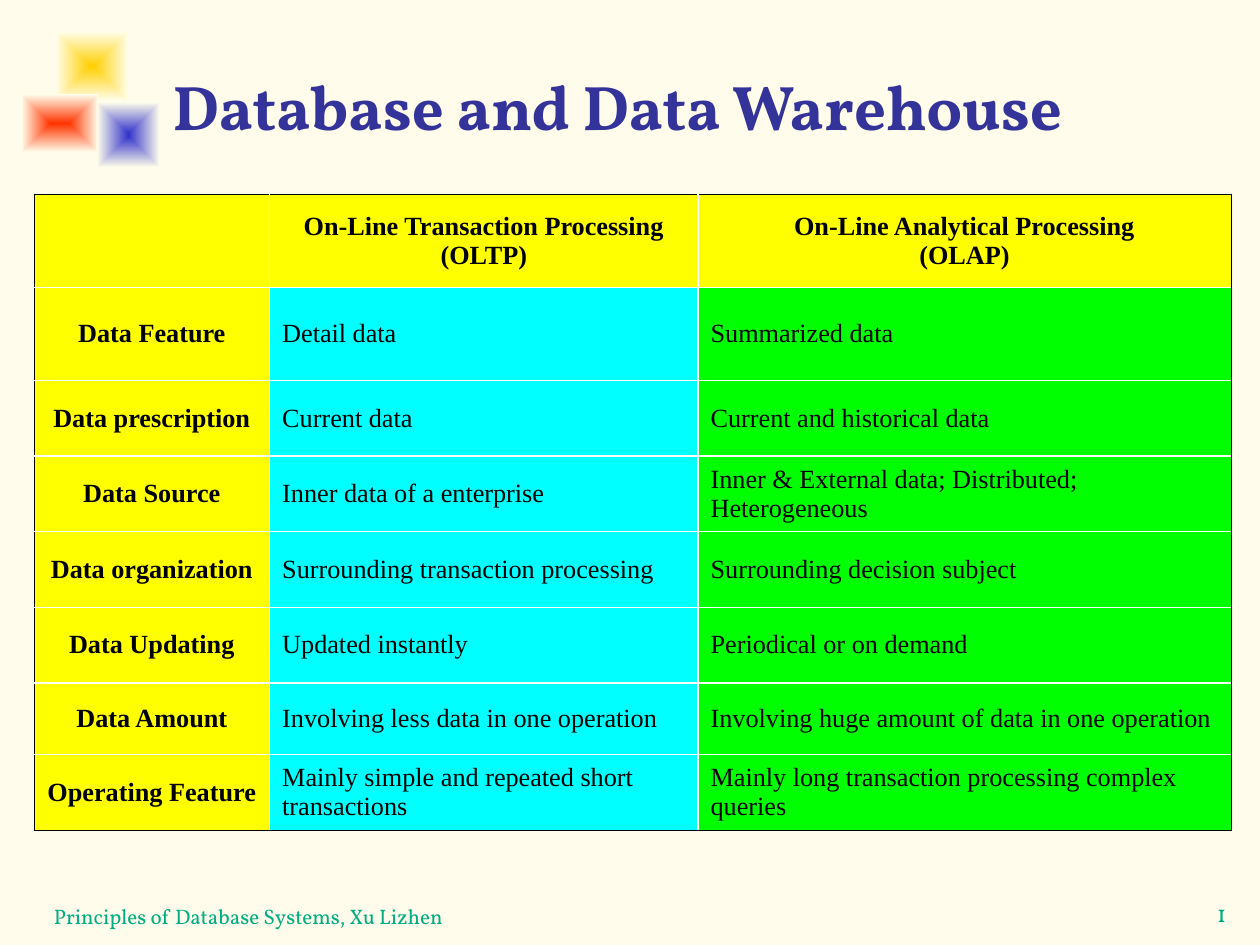
from lxml import etree
from pptx import Presentation
from pptx import util as u
from pptx.dml.color import RGBColor
from pptx.enum import shapes, text
from pptx.oxml.ns import qn


def rgb(value):
    return RGBColor.from_string(value)


class Deck:
    title_font = "Vollkorn"
    table_font = "Times New Roman"
    paper, glow = "FFFCEB", "FFFEEB"
    navy, teal, black, white = "333399", "00AE80", "000000", "FFFFFF"
    yellow, cyan, green = "FFFF00", "00FFFF", "00FF00"

    def __init__(self, prs):
        self.slide = prs.slides.add_slide(prs.slide_layouts[5])
        bg = self.slide.background.fill
        bg.solid()
        bg.fore_color.rgb = rgb(self.paper)

    def style(self, tf, size, font, color, bold=False, align=text.PP_ALIGN.LEFT):
        for p in tf.paragraphs:
            p.alignment = align
            for r in p.runs:
                r.font.size = u.Pt(size)
                r.font.name = font
                r.font.bold = bold
                r.font.color.rgb = rgb(color)

    def glow_box(self, box, color):
        sp = self.slide.shapes.add_shape(
            shapes.MSO_SHAPE.RECTANGLE, *map(u.Inches, box))
        sp.shadow.inherit = False
        sp.line.fill.background()
        sp.fill.gradient()
        for stop, shade, position in zip(
                sp.fill.gradient_stops, (color, self.glow), (0, 1)):
            stop.color.rgb = rgb(shade)
            stop.position = position
        grad = sp._element.spPr.find(qn("a:gradFill"))
        grad.remove(grad.find(qn("a:lin")))
        radial = etree.Element(qn("a:path"), {"path": "rect"})
        etree.SubElement(radial, qn("a:fillToRect"), dict.fromkeys("ltrb", "50000"))
        grad.find(qn("a:gsLst")).addnext(radial)

    def title(self, box, words):
        sp = self.slide.shapes.title
        sp.left, sp.top, sp.width, sp.height = map(u.Inches, box)
        tf = sp.text_frame
        tf.text = words
        tf.auto_size = text.MSO_AUTO_SIZE.NONE
        tf.vertical_anchor = text.MSO_ANCHOR.BOTTOM
        self.style(tf, 36, self.title_font, self.navy, True)

    def label(self, box, words, size, anchor, align, wrap):
        tf = self.slide.shapes.add_textbox(*map(u.Inches, box)).text_frame
        tf.word_wrap = wrap
        tf.vertical_anchor = anchor
        tf.text = words
        self.style(tf, size, self.title_font, self.teal, align=align)

    def borders(self, cell, outer):
        tc_pr = cell._tc.get_or_add_tcPr()
        for side in "LRTB":
            color, width = (self.black, 0.45) if side in outer else (self.white, 0.96)
            ln = etree.SubElement(tc_pr, qn("a:ln" + side), w=str(u.Pt(width)))
            fill = etree.SubElement(ln, qn("a:solidFill"))
            etree.SubElement(fill, qn("a:srgbClr"), val=color)

    def table(self, box, widths, heights, rows):
        table = self.slide.shapes.add_table(
            len(rows), len(widths), *map(u.Inches, box)).table
        for column, width in zip(table.columns, widths):
            column.width = u.Inches(width)
        for row, height in zip(table.rows, heights):
            row.height = u.Inches(height)
        last_row, last_col = len(rows) - 1, len(widths) - 1
        for i, row in enumerate(rows):
            for j, words in enumerate(row):
                cell = table.cell(i, j)
                outer = "".join(side for side, at_edge in (
                    ("L", j == 0), ("R", j == last_col),
                    ("T", i == 0), ("B", i == last_row)) if at_edge)
                self.borders(cell, outer)
                header = i == 0 or j == 0
                cell.fill.solid()
                cell.fill.fore_color.rgb = rgb(
                    self.yellow if header else (self.cyan, self.green)[j - 1])
                cell.vertical_anchor = text.MSO_ANCHOR.MIDDLE
                cell.text_frame.text = words
                align = text.PP_ALIGN.CENTER if header else text.PP_ALIGN.LEFT
                self.style(cell.text_frame, 15, self.table_font, self.black, header, align)


prs = Presentation()
prs.slide_width, prs.slide_height = u.Inches(10), u.Inches(7.5)
deck = Deck(prs)

for box, color in (
        ((0.44, 0.25, 0.58, 0.55), "FFCF01"),
        ((0.77, 0.81, 0.5, 0.52), "3333CC"),
        ((0.17, 0.75, 0.61, 0.46), "FF3300")):
    deck.glow_box(box, color)

deck.label((9.1, 7.08, 1.19, 0.38), "1", 14,
           text.MSO_ANCHOR.TOP, text.PP_ALIGN.CENTER, False)
deck.label((0.33, 6.92, 6.5, 0.5), "Principles of Database Systems, Xu Lizhen", 12,
           text.MSO_ANCHOR.BOTTOM, text.PP_ALIGN.LEFT, True)
deck.title((1.27, 0.16, 8.5, 1.03), "Database and Data Warehouse")

deck.table(
    (0.27, 1.54, 9.5, 5.06),
    (1.87, 3.4, 4.23),
    (0.74, 0.74, 0.6, 0.6, 0.6, 0.6, 0.57, 0.6),
    (
        ("", "On-Line Transaction Processing\n(OLTP)",
         "On-Line Analytical Processing\n(OLAP)"),
        ("Data Feature", "Detail data", "Summarized data"),
        ("Data prescription", "Current data", "Current and historical data"),
        ("Data Source", "Inner data of a enterprise",
         "Inner & External data; Distributed; Heterogeneous"),
        ("Data organization", "Surrounding transaction processing",
         "Surrounding decision subject"),
        ("Data Updating", "Updated instantly", "Periodical or on demand"),
        ("Data Amount", "Involving less data in one operation",
         "Involving huge amount of data in one operation"),
        ("Operating Feature", "Mainly simple and repeated short transactions",
         "Mainly long transaction processing complex queries"),
    ))

prs.save("out.pptx")
